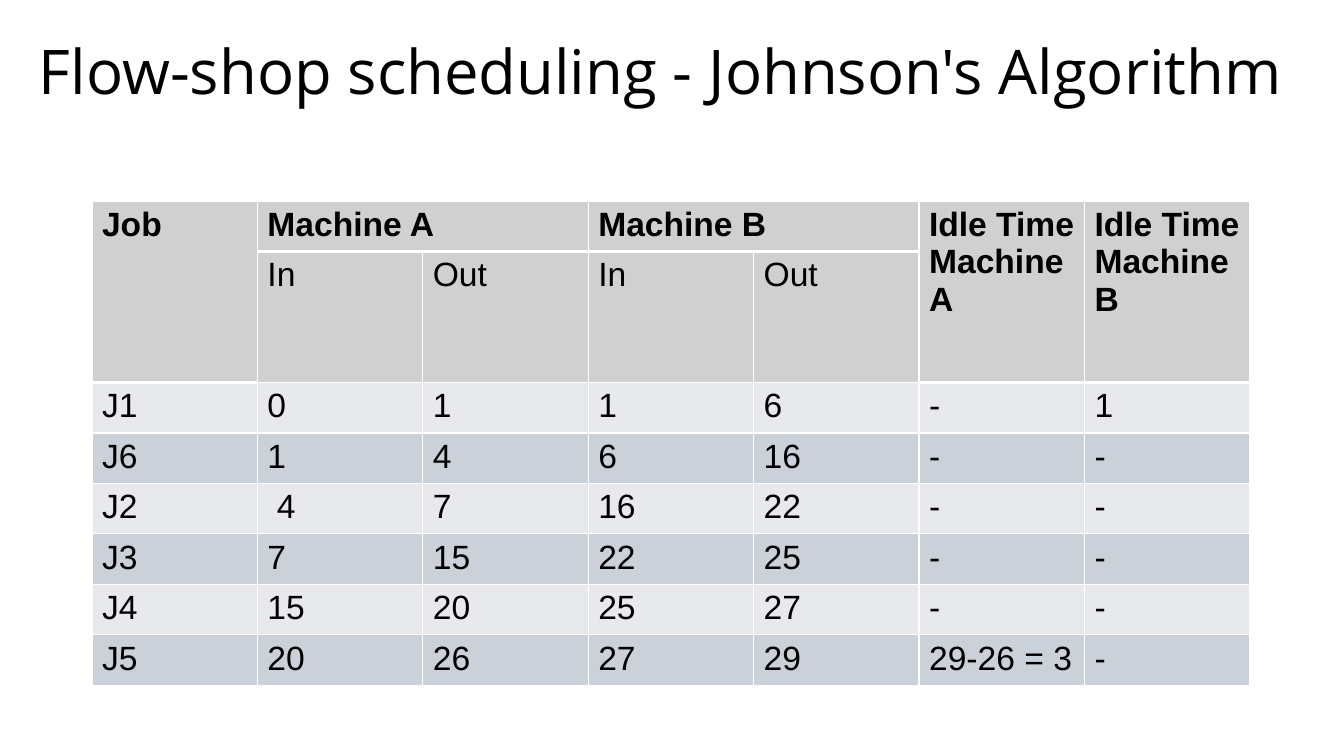
from pptx import Presentation
from pptx.dml.color import RGBColor
from pptx.enum.text import MSO_ANCHOR, PP_ALIGN
from pptx.oxml.ns import qn
from pptx.util import Pt
from lxml import etree

PX = 914400 / 100.8  # EMU per px
MIDDLE, LEFT = MSO_ANCHOR.MIDDLE, PP_ALIGN.LEFT

BLACK = RGBColor(0x00, 0x00, 0x00)
WHITE = RGBColor(0xFF, 0xFF, 0xFF)
HEADER_FILL = RGBColor(0xD0, 0xD0, 0xD0)
BAND_FILLS = (RGBColor(0xE7, 0xE9, 0xEC), RGBColor(0xCA, 0xD1, 0xD8))
TITLE_FONT, BODY_FONT = "Open Sans", "Arial"
THIN, THICK = Pt(1), Pt(3)

TITLE = "Flow-shop scheduling - Johnson's Algorithm"
GROUPS = ["Job", "Machine A", "", "Machine B", "",
          "Idle Time\nMachine A", "Idle Time \nMachine B"]
SUBHEADS = ["", "In", "Out", "In", "Out", "", ""]
JOBS = [
    ["J1", "0", "1", "1", "6", "-", "1"],
    ["J6", "1", "4", "6", "16", "-", "-"],
    ["J2", " 4", "7", "16", "22", "-", "-"],
    ["J3", "7", "15", "22", "25", "-", "-"],
    ["J4", "15", "20", "25", "27", "-", "-"],
    ["J5", "20", "26", "27", "29", "29-26 = 3", "-"],
]
TALL_COLS = (0, 5, 6)  # headers that span both header rows
WIDE_COLS = (1, 3)     # headers that span an In/Out pair
TABLE_W, ROW_H = 1158, 41  # rows grow to fit their text


def px(n):
    return round(n * PX)


def add_text(tf, text, font, size, bold=False):
    for i, line in enumerate(text.split("\n")):
        p = tf.paragraphs[0] if i == 0 else tf.add_paragraph()
        p.alignment = LEFT
        r = p.add_run()
        r.text = line
        r.font.name, r.font.size, r.font.bold = font, Pt(size), bold
        r.font.color.rgb = BLACK


def add_title(slide, text):
    sp = slide.shapes.add_textbox(px(29), px(14), px(1286), px(121))
    tf = sp.text_frame
    tf.word_wrap = True
    tf.vertical_anchor = MIDDLE
    add_text(tf, text, TITLE_FONT, 44)
    tf.paragraphs[0].line_spacing = 0.9


def set_borders(cell, top, bottom):
    tc_pr = cell._tc.get_or_add_tcPr()
    for side, width in (("L", THIN), ("R", THIN), ("T", top), ("B", bottom)):
        ln = etree.SubElement(tc_pr, qn(f"a:ln{side}"), w=str(width))
        fill = etree.SubElement(ln, qn("a:solidFill"))
        etree.SubElement(fill, qn("a:srgbClr"), val=str(WHITE))


def rule_width(line, col):
    """Width of the horizontal rule above row number `line`."""
    under_header = line == 2 if col in TALL_COLS else line == 1
    return THICK if under_header else THIN


def add_schedule(slide):
    rows = [GROUPS, SUBHEADS] + JOBS
    n_rows, n_cols = len(rows), len(GROUPS)
    table = slide.shapes.add_table(
        n_rows, n_cols, px(92), px(201), px(TABLE_W), px(ROW_H * n_rows)).table
    table.horz_banding = False
    for col in table.columns:
        col.width = px(TABLE_W / n_cols)
    for row in table.rows:
        row.height = px(ROW_H)

    # Fills, rules and text
    for i, row in enumerate(rows):
        for j, text in enumerate(row):
            cell = table.cell(i, j)
            set_borders(cell, rule_width(i, j), THICK if i == 0 else rule_width(i + 1, j))
            cell.fill.solid()
            cell.fill.fore_color.rgb = HEADER_FILL if i < 2 else BAND_FILLS[i % 2]
            if text:
                add_text(cell.text_frame, text, BODY_FONT, 24, bold=i == 0)

    # Merged headers
    for j in TALL_COLS:
        table.cell(0, j).merge(table.cell(1, j))
    for j in WIDE_COLS:
        table.cell(0, j).merge(table.cell(0, j + 1))


def main():
    prs = Presentation()
    prs.slide_width, prs.slide_height = px(1344), px(756)
    slide = prs.slides.add_slide(prs.slide_layouts[6])
    add_title(slide, TITLE)
    add_schedule(slide)
    prs.save("out.pptx")


if __name__ == "__main__":
    main()
